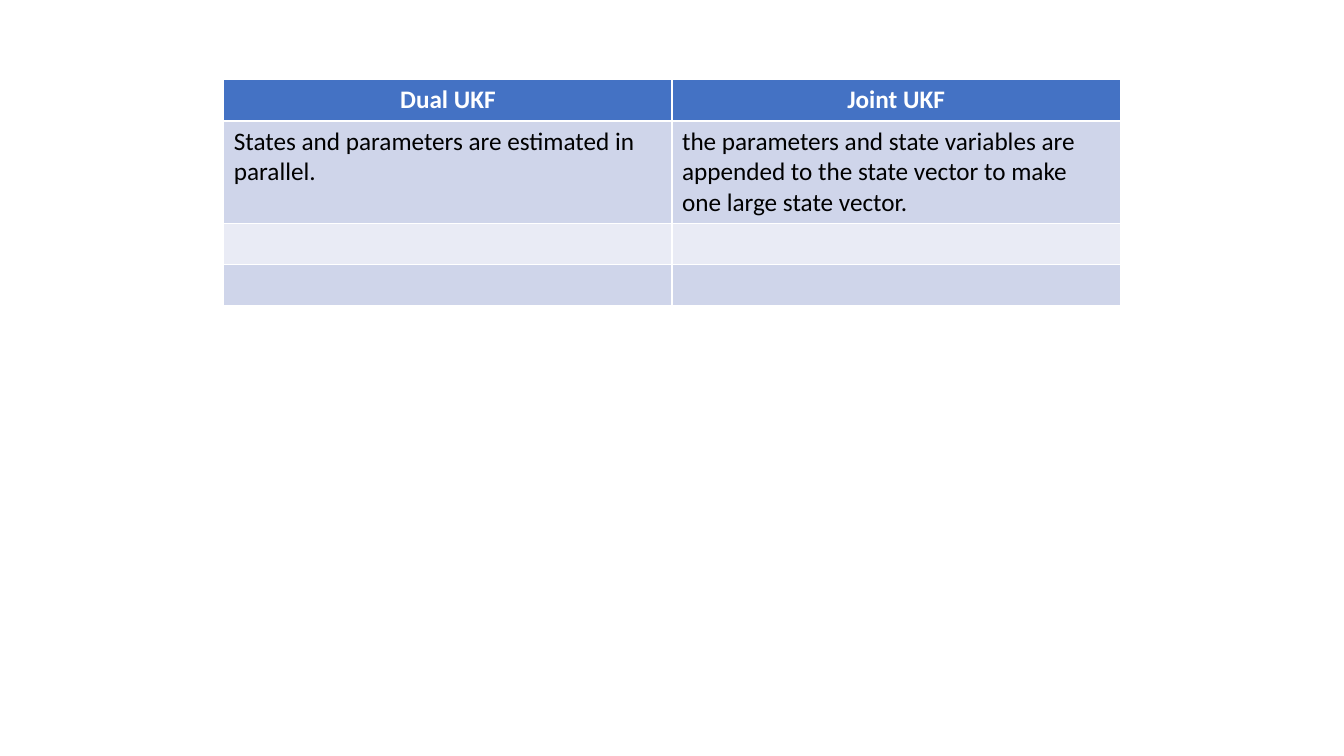
"""Build a slide with a table comparing the dual and joint UKF."""
from dataclasses import dataclass

from pptx import Presentation
from pptx.dml.color import RGBColor
from pptx.enum.text import PP_ALIGN
from pptx.table import _Cell
from pptx.util import Inches, Pt

CENTER, LEFT = PP_ALIGN.CENTER, PP_ALIGN.LEFT
WHITE = RGBColor(0xFF, 0xFF, 0xFF)
BLACK = RGBColor(0x00, 0x00, 0x00)
BLUE = RGBColor(0x44, 0x72, 0xC4)
BAND_DARK = RGBColor(0xCF, 0xD5, 0xEA)
BAND_LIGHT = RGBColor(0xE9, 0xEB, 0xF5)


@dataclass(frozen=True)
class Row:
    texts: tuple[str, str]
    fill: RGBColor
    height: float = 0.41
    header: bool = False


ROWS = [
    Row(("Dual UKF", "Joint UKF"), BLUE, header=True),
    Row(
        (
            "States and parameters are estimated in parallel.",
            "the parameters and state variables are appended to the state "
            "vector to make one large state vector.",
        ),
        BAND_DARK,
        height=1.0,
    ),
    Row(("", ""), BAND_LIGHT),
    Row(("", ""), BAND_DARK),
]


def fill_cell(cell: _Cell, text: str, row: Row) -> None:
    cell.fill.solid()
    cell.fill.fore_color.rgb = row.fill
    if not text:
        return
    p = cell.text_frame.paragraphs[0]
    p.alignment = CENTER if row.header else LEFT
    r = p.add_run()
    r.text = text
    r.font.name = "Calibri"
    r.font.size = Pt(18)
    r.font.bold = row.header
    r.font.color.rgb = WHITE if row.header else BLACK


def main() -> None:
    prs = Presentation()
    prs.slide_width, prs.slide_height = Inches(13.33), Inches(7.5)
    s = prs.slides.add_slide(prs.slide_layouts[6])
    height = sum(row.height for row in ROWS)
    table = s.shapes.add_table(
        len(ROWS), 2, Inches(2.22), Inches(0.79), Inches(8.89), Inches(height)
    ).table
    for i, row in enumerate(ROWS):
        table.rows[i].height = Inches(row.height)
        for j, text in enumerate(row.texts):
            fill_cell(table.cell(i, j), text, row)
    prs.save("out.pptx")


if __name__ == "__main__":
    main()
